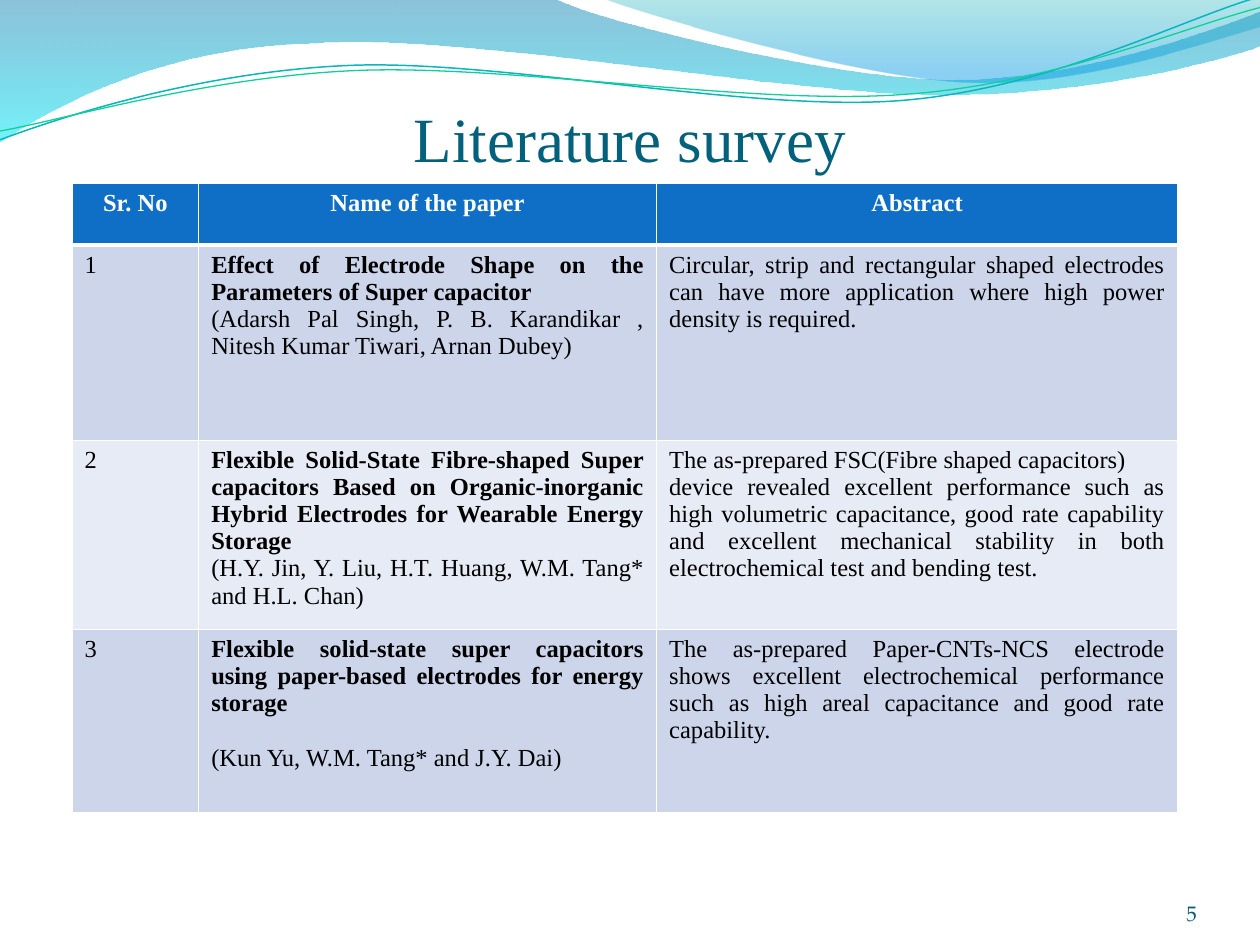
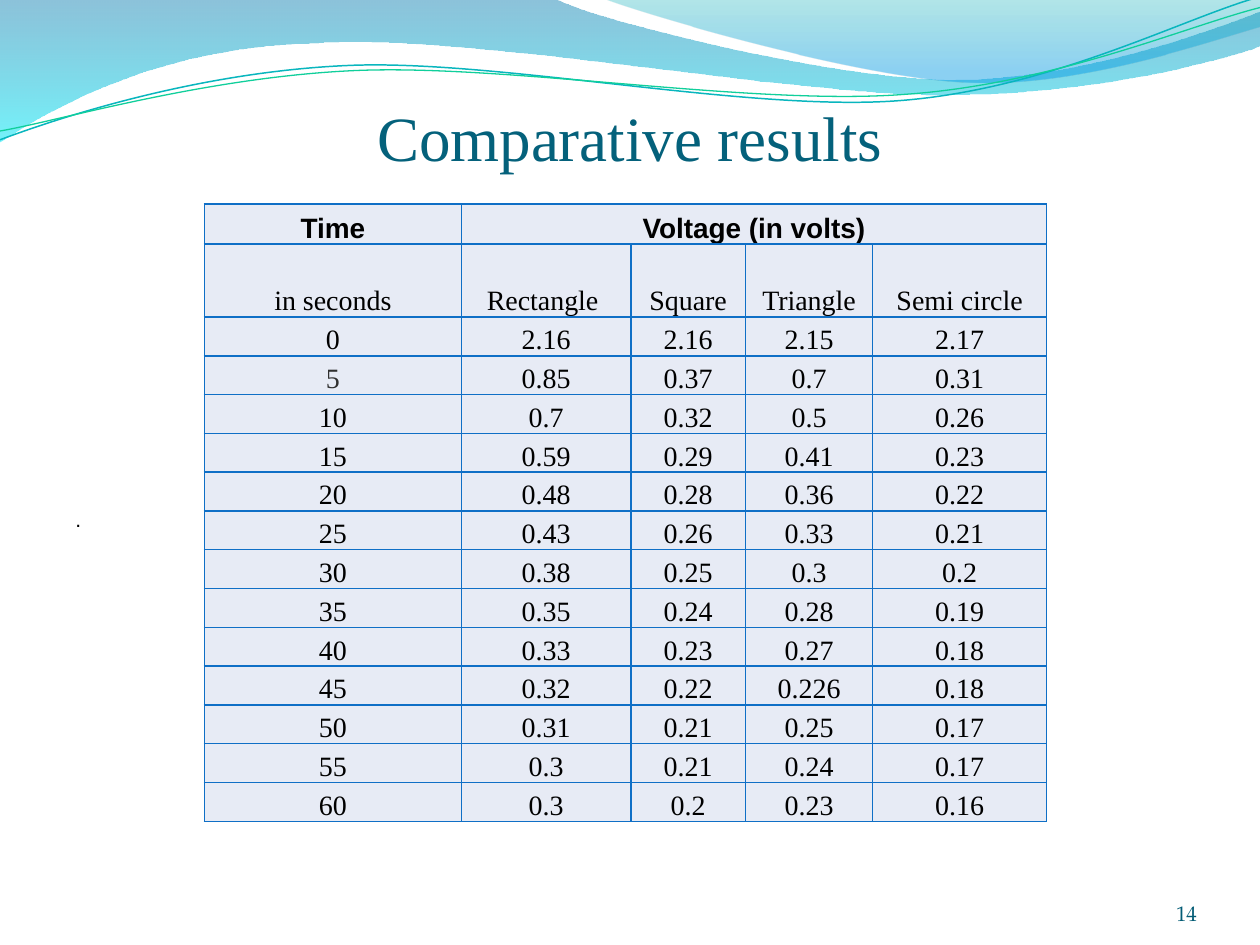
from dataclasses import dataclass

from lxml import etree
from pptx import Presentation, util as u
from pptx.dml.color import RGBColor
from pptx.enum import text
from pptx.oxml.ns import qn

COLS, ROWS = 100, 75  # slide grid, one cell is a tenth of an inch
AL, ANC = text.PP_ALIGN, text.MSO_ANCHOR


@dataclass(frozen=True)
class Theme:
    title: str = "04617B"
    number: str = "035C75"
    accent: str = "0F6FC6"
    band: str = "CCD5EA"
    pale: str = "E7EBF5"
    white: str = "FFFFFF"
    black: str = "000000"
    grey: str = "303030"
    serif: str = "Times New Roman"
    sans: str = "Arial"
    number_font: str = "TeX Gyre Pagella"
    title_pt: int = 36
    data_pt: int = 16
    body_pt: int = 14
    small_pt: int = 12


T = Theme()

# Waves in grid units: a pair is a line end, a six is a Bézier curve
BLUE_WAVE = [(0, 0), (44, -.1), (47.6, 1.7, 66.4, 6.3, 75.8, 6.3),
             (85.3, 6.3, 95.8, 2.6, 100, .9), (100.1, 3.6),
             (98.3, 4.4, 87, 7.6, 74.6, 7.5), (62.2, 7.5, 38.2, 2.8, 25.7, 3.4),
             (12.9, 3.6, 4.6, 8.3, -.1, 11.3), (0, 0)]
RIGHT_WAVE = [(47.9, -.1), (50.9, 1.1, 68.2, 6.2, 76.9, 6.5),
              (85.6, 6.9, 96.1, 3.2, 100, 2.1), (100, 0), (47.9, -.1)]
UPPER_LINE = [(0, 11.1), (4.8, 9.3, 15.8, 5.7, 27.7, 5.2),
              (39.5, 4.7, 59.3, 8.9, 71.3, 8), (83.3, 7.1, 93.8, 1.5, 99.8, -.2)]
LOWER_LINE = [(0, 10.4), (4.7, 9.6, 16.4, 6.1, 28.3, 5.6),
              (40.3, 5.1, 59.7, 8.4, 71.7, 7.5), (83.6, 6.7, 94.1, 2.1, 100, .6)]

# Gradient stops: position, colour, opacity in percent
BLUE_STOPS = [(0, "0079AD", 45), (100, "00E9F7", 55)]
RIGHT_STOPS = [(0, "00ABB4", 30), (80, "0099E4", 45), (100, "0099E4", 45)]


def rgb(code):
    return RGBColor.from_string(code)


class Deck:
    def __init__(self, theme):
        self.theme = theme
        self.prs = Presentation()
        self.prs.slide_width, self.prs.slide_height = u.Inches(10), u.Inches(7.5)
        self.s = None

    def x(self, cols):
        return round(self.prs.slide_width * cols / COLS)

    def y(self, rows):
        return round(self.prs.slide_height * rows / ROWS)

    def box(self, left, top, width, height):
        return self.x(left), self.y(top), self.x(width), self.y(height)

    def slide(self, title, title_at, number):
        """Start a slide with its waves, title and page number."""
        t = self.theme
        self.s = self.prs.slides.add_slide(self.prs.slide_layouts[6])
        self.wave(BLUE_WAVE, stops=BLUE_STOPS)
        self.wave(RIGHT_WAVE, stops=RIGHT_STOPS)
        self.wave(UPPER_LINE, line=("09B6BE", .85))
        self.wave(LOWER_LINE, line=("10CF9B", .75))
        self.text(title, title_at, t.title_pt, t.title, align=AL.CENTER, inset=(0, .5, 0, 0))
        self.text(number, (86.7, 69.5, 8.3, 4), t.small_pt, t.number, t.number_font,
                  align=AL.RIGHT)

    def wave(self, outline, stops=None, line=None):
        pts = [(self.x(seg[i]), self.y(seg[i + 1]))
               for seg in outline for i in range(0, len(seg), 2)]
        fb = self.s.shapes.build_freeform(*pts[0])
        fb.add_line_segments(pts[1:], close=stops is not None)
        sp = fb.convert_to_shape()
        self.curve(sp, outline)
        sp.shadow.inherit = False
        if stops:
            sp.line.fill.background()
            self.gradient(sp, stops)
        else:
            sp.fill.background()
            sp.line.color.rgb, sp.line.width = rgb(line[0]), u.Pt(line[1])

    def curve(self, sp, outline):
        """Join the three points of each curve into one Bézier segment."""
        ends = iter(list(sp.element.spPr.iter(qn("a:lnTo"))))
        for seg in outline[1:]:
            first = next(ends)
            if len(seg) == 6:
                first.tag = qn("a:cubicBezTo")
                for other in (next(ends), next(ends)):
                    first.append(other[0])
                    other.getparent().remove(other)

    def gradient(self, sp, stops):
        """Fill from top to bottom with partly transparent stops."""
        sp.fill.gradient()
        grad = sp.element.spPr.find(qn("a:gradFill"))
        for child in list(grad):
            grad.remove(child)
        gs_list = etree.SubElement(grad, qn("a:gsLst"))
        for pos, color, alpha in stops:
            gs = etree.SubElement(gs_list, qn("a:gs"), pos=str(pos * 1000))
            clr = etree.SubElement(gs, qn("a:srgbClr"), val=color)
            etree.SubElement(clr, qn("a:alpha"), val=str(alpha * 1000))
        etree.SubElement(grad, qn("a:lin"), ang="5400000", scaled="0")

    def style(self, tf, size, color, font=None, align=AL.LEFT, bold=False):
        for p in tf.paragraphs:
            p.alignment = align
            for r in p.runs:
                f = r.font
                f.name, f.size, f.bold = font or self.theme.serif, u.Pt(size), bold
                f.color.rgb = rgb(color)
            # The paragraph end takes the same size, so rows keep their height
            etree.SubElement(p._p, qn("a:endParaRPr"), sz=str(size * 100))

    def text(self, words, at, size, color, font=None, align=AL.LEFT,
             anchor=ANC.BOTTOM, inset=(0, 0, 0, 0), wrap=True):
        tf = self.s.shapes.add_textbox(*self.box(*at)).text_frame
        tf.text = words
        tf.word_wrap, tf.vertical_anchor = wrap, anchor
        tf.margin_left, tf.margin_top, tf.margin_right, tf.margin_bottom = self.box(*inset)
        self.style(tf, size, color, font, align)

    def table(self, left, top, cols, rows, cells, fill, border):
        """Add a table; fill and border give a value for each row number."""
        at = self.box(left, top, sum(cols), sum(rows))
        tbl = self.s.shapes.add_table(len(rows), len(cols), *at).table
        tbl.first_row = tbl.horz_banding = False
        for col, width in zip(tbl.columns, cols):
            col.width = self.x(width)
        for i, (row, height) in enumerate(zip(tbl.rows, rows)):
            row.height = self.y(height)
            for j, cell in enumerate(row.cells):
                cell.text_frame.text = cells[i][j]
                self.borders(cell, *border(i))
                cell.fill.solid()
                cell.fill.fore_color.rgb = rgb(fill(i))
        return tbl

    def borders(self, cell, color, top, bottom):
        tc_pr = cell._tc.get_or_add_tcPr()
        for side, width in (("L", 1), ("R", 1), ("T", top), ("B", bottom)):
            ln = etree.SubElement(tc_pr, qn(f"a:ln{side}"), w=str(u.Pt(width)))
            solid = etree.SubElement(ln, qn("a:solidFill"))
            etree.SubElement(solid, qn("a:srgbClr"), val=color)


PAPERS = [
    ("Sr. No", "Name of the paper", "Abstract"),
    ("1", "Effect of Electrode Shape on the Parameters of Super capacitor\n"
     "(Adarsh Pal Singh, P. B. Karandikar , Nitesh Kumar Tiwari, Arnan Dubey)",
     "Circular, strip and rectangular shaped electrodes can have more application "
     "where high power density is required."),
    ("2", "Flexible Solid-State Fibre-shaped Super capacitors Based on "
     "Organic-inorganic Hybrid Electrodes for Wearable Energy Storage \n"
     "(H.Y. Jin, Y. Liu, H.T. Huang, W.M. Tang* and H.L. Chan)",
     "The as-prepared FSC(Fibre shaped capacitors) \n"
     "device revealed excellent performance such as high volumetric capacitance, "
     "good rate capability and excellent mechanical stability in both "
     "electrochemical test and bending test."),
    ("3", "Flexible solid-state super capacitors using paper-based electrodes "
     "for energy storage\n(Kun Yu, W.M. Tang* and J.Y. Dai)",
     "The as-prepared Paper-CNTs-NCS electrode shows excellent electrochemical "
     "performance such as high areal capacitance and good rate capability."),
]

# Voltages every five seconds: rectangle, square, triangle, semi circle
VOLTAGES = [
    (2.16, 2.16, 2.15, 2.17), (.85, .37, .7, .31), (.7, .32, .5, .26),
    (.59, .29, .41, .23), (.48, .28, .36, .22), (.43, .26, .33, .21),
    (.38, .25, .3, .2), (.35, .24, .28, .19), (.33, .23, .27, .18),
    (.32, .22, .226, .18), (.31, .21, .25, .17), (.3, .21, .24, .17),
    (.3, .2, .23, .16),
]


def literature_survey(d):
    d.slide("Literature survey", (5, 1.4, 90, 12.5), "5")
    tbl = d.table(5.72, 14.56, (10.05, 36.35, 41.35), (4.9, 15.5, 14.55, 14.55), PAPERS,
                  fill=lambda i: (T.accent, T.band, T.pale, T.band)[i],
                  border=lambda i: (T.white, 3 if i == 1 else 1, 3 if i == 0 else 1))
    for i, row in enumerate(tbl.rows):
        for cell in row.cells:
            if i == 0:
                d.style(cell.text_frame, T.body_pt, T.white, align=AL.CENTER, bold=True)
            else:
                d.style(cell.text_frame, T.body_pt, T.black, align=AL.JUSTIFY)
        # Paper names stand out from their authors
        row.cells[1].text_frame.paragraphs[0].runs[0].font.bold = True
    tbl.cell(3, 1).text_frame.paragraphs[1].space_before = u.Pt(15.5)


def comparative_results(d):
    d.slide("Comparative results", (0, 1.3, 100, 12.5), "14")
    d.text(".", (5, 39.7, 2.7, 3), T.small_pt, T.black, T.sans,
           anchor=ANC.MIDDLE, inset=(1, .5, 1, .5), wrap=False)
    cells = [("Time", "Voltage (in volts)", "", "", ""),
             ("in seconds", "Rectangle ", "Square", "Triangle", "Semi circle")]
    cells += [(str(5 * n), *map(str, volts)) for n, volts in enumerate(VOLTAGES)]
    tbl = d.table(16.22, 16.2, (20.4, 13.45, 9.1, 10.1, 13.8),
                  [3.17, 5.79] + [3.08] * len(VOLTAGES), cells,
                  fill=lambda i: T.pale, border=lambda i: (T.accent, 1, 1))
    tbl.cell(0, 1).merge(tbl.cell(0, 4))
    for i, row in enumerate(tbl.rows):
        for cell in row.cells:
            cell.vertical_anchor = ANC.BOTTOM
            cell.margin_left = cell.margin_right = d.x(.1)
            cell.margin_top, cell.margin_bottom = d.y(.1), 0
            d.style(cell.text_frame, T.data_pt, T.black, T.serif if i else T.sans,
                    AL.CENTER, bold=i == 0)
    tbl.cell(3, 0).text_frame.paragraphs[0].runs[0].font.color.rgb = rgb(T.grey)


def main():
    d = Deck(T)
    literature_survey(d)
    comparative_results(d)
    d.prs.save("out.pptx")


if __name__ == "__main__":
    main()
